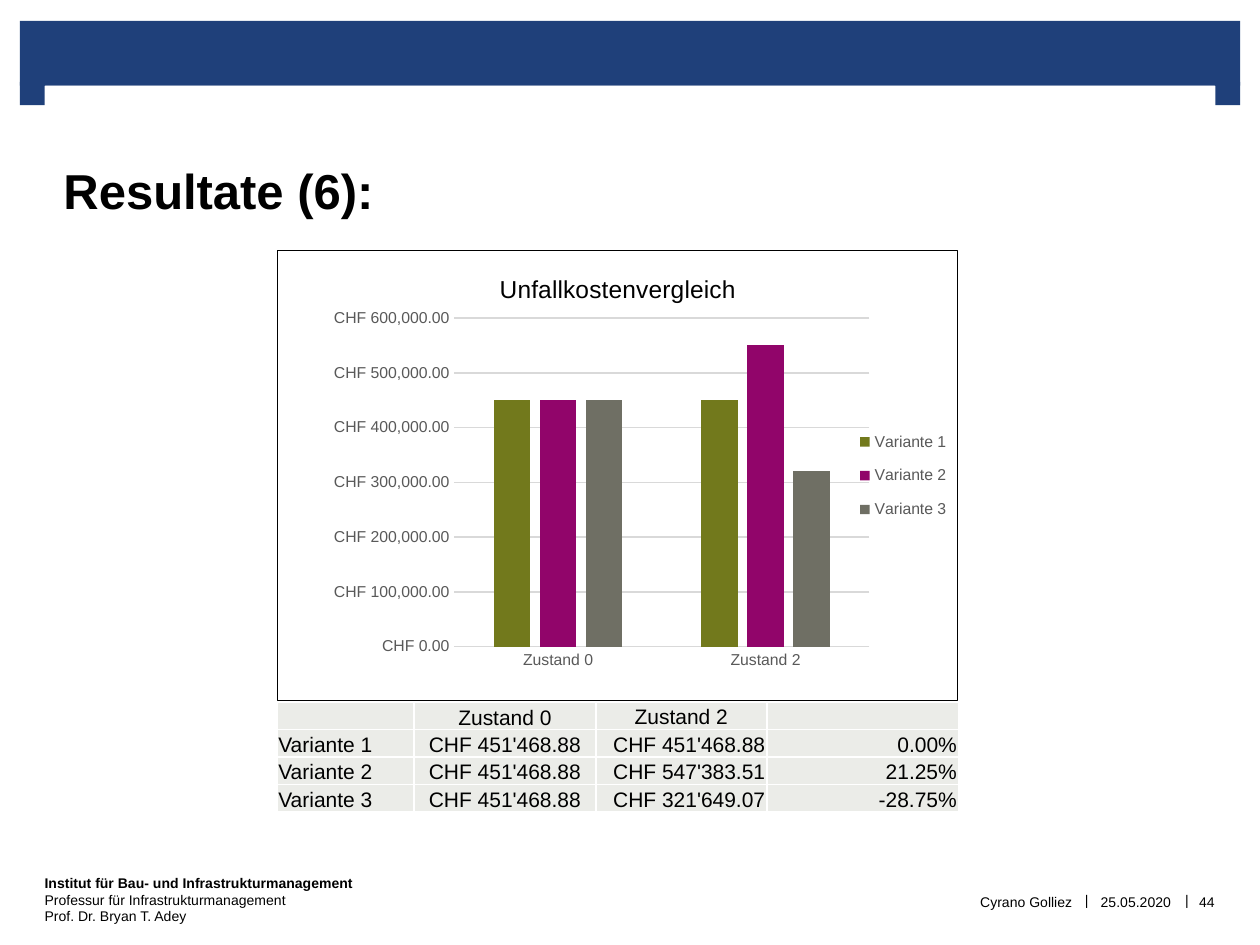
from dataclasses import dataclass

from lxml.etree import SubElement
from pptx import Presentation
from pptx.chart.data import CategoryChartData
from pptx.dml.color import RGBColor
from pptx.enum.chart import XL_CHART_TYPE, XL_LEGEND_POSITION, XL_TICK_MARK
from pptx.enum.shapes import MSO_SHAPE
from pptx.enum.text import MSO_ANCHOR as Anchor, MSO_AUTO_SIZE, PP_ALIGN as Align
from pptx.oxml import parse_xml
from pptx.oxml.ns import nsdecls, qn
from pptx.util import Cm, Pt


@dataclass(frozen=True)
class Theme:
    font: str = "Arial"
    banner: str = "1F407A"
    text: str = "000000"
    paper: str = "FFFFFF"
    axis_text: str = "595959"
    grid: str = "D9D9D9"
    cell: str = "EBECE8"
    variants: tuple = ("72791C", "91056A", "6F6F64")
    title_size: int = 28
    chart_title_size: int = 14
    table_size: int = 12
    chart_size: int = 10
    axis_size: int = 9
    footer_size: int = 8


THEME = Theme()
STATES = ("Zustand 0", "Zustand 2")
COSTS = {
    "Variante 1": (451468.88, 451468.88),
    "Variante 2": (451468.88, 547383.51),
    "Variante 3": (451468.88, 321649.07),
}


def rgb(code):
    return RGBColor.from_string(code)


def box(left, top, width, height):
    return Cm(left), Cm(top), Cm(width), Cm(height)


def style_font(font, size, color=THEME.text, bold=False):
    font.name = THEME.font
    font.size = Pt(size)
    font.bold = bold
    font.color.rgb = rgb(color)


def add_run(paragraph, text, size, bold=False):
    run = paragraph.add_run()
    run.text = text
    style_font(run.font, size, bold=bold)


def set_insets(target, left, top, right, bottom):
    target.margin_left, target.margin_top = Cm(left), Cm(top)
    target.margin_right, target.margin_bottom = Cm(right), Cm(bottom)


def add_banner(slide):
    banner = slide.shapes.add_group_shape()
    bars = ((0.4, 0.42, 24.6, 1.31), (0.4, 1.65, 0.51, 0.47), (24.49, 1.65, 0.51, 0.47))
    for place in bars:
        bar = banner.shapes.add_shape(MSO_SHAPE.RECTANGLE, *box(*place))
        bar.shadow.inherit = False
        bar.fill.solid()
        bar.fill.fore_color.rgb = rgb(THEME.banner)
        bar.line.fill.background()


def add_institute(slide):
    frame = slide.shapes.add_textbox(*box(0.65, 17.5, 6.78, 1.3)).text_frame
    frame.word_wrap = False
    frame.auto_size = MSO_AUTO_SIZE.SHAPE_TO_FIT_TEXT
    lines = ("Institut für Bau- und Infrastrukturmanagement",
             "Professur für Infrastrukturmanagement", "Prof. Dr. Bryan T. Adey")
    for index, line in enumerate(lines):
        paragraph = frame.add_paragraph() if index else frame.paragraphs[0]
        add_run(paragraph, line, THEME.footer_size, bold=index == 0)


def add_footer_text(slide, text, left, width, top=17.53, align=Align.CENTER,
                    insets=(0, 0, 0, 0)):
    frame = slide.shapes.add_textbox(*box(left, top, width, 1.3)).text_frame
    frame.word_wrap = False
    frame.vertical_anchor = Anchor.MIDDLE
    set_insets(frame, *insets)
    frame.paragraphs[0].alignment = align
    add_run(frame.paragraphs[0], text, THEME.footer_size)


def add_footer(slide):
    add_institute(slide)
    for left in (21.76, 23.78):
        add_footer_text(slide, "|", left, 0.3, top=17.5, insets=(0.1, 0.13, 0.1, 0.13))
    add_footer_text(slide, "25.05.2020", 22.05, 1.7)
    add_footer_text(slide, "Cyrano Golliez", 12.7, 8.92, align=Align.RIGHT)
    add_footer_text(slide, "44", 23.96, 0.74)


def set_title(slide, text):
    title = slide.shapes.title
    slide.shapes._spTree.append(title._element)  # in front of the banner
    title.left, title.top, title.width, title.height = box(0.9, 1.73, 23.6, 2.69)
    title.fill.solid()
    title.fill.fore_color.rgb = rgb(THEME.paper)
    frame = title.text_frame
    frame.word_wrap = True
    frame.auto_size = MSO_AUTO_SIZE.NONE
    frame.vertical_anchor = Anchor.BOTTOM
    set_insets(frame, 0.38, 0, 0.41, 0)
    frame.paragraphs[0].alignment = Align.LEFT
    add_run(frame.paragraphs[0], text, THEME.title_size, bold=True)


def set_layout(part, index, inner=False, **fractions):
    """Place a chart part by fractions (x, y, w, h) of the chart area."""
    for old in part.findall(qn("c:layout")):
        part.remove(old)
    target = '<c:layoutTarget val="inner"/>' if inner else ""
    modes = "".join(f'<c:{key}Mode val="edge"/>' for key in "xy")
    values = "".join(f'<c:{key} val="{value}"/>' for key, value in fractions.items())
    part.insert(index, parse_xml(
        f'<c:layout {nsdecls("c")}><c:manualLayout>{target}{modes}{values}'
        "</c:manualLayout></c:layout>"))


def frame_chart(chart):
    chart._chartSpace.find(qn("c:chart")).addnext(parse_xml(
        f'<c:spPr {nsdecls("c", "a")}>'
        f'<a:solidFill><a:srgbClr val="{THEME.paper}"/></a:solidFill>'
        f'<a:ln w="{Pt(0.75)}"><a:solidFill><a:srgbClr val="{THEME.text}"/>'
        "</a:solidFill></a:ln></c:spPr>"))


def style_axes(chart):
    costs, states = chart.value_axis, chart.category_axis
    for axis in (costs, states):
        axis.major_tick_mark = axis.minor_tick_mark = XL_TICK_MARK.NONE
        style_font(axis.tick_labels.font, THEME.axis_size, THEME.axis_text)
    costs.has_major_gridlines = True
    for line in (costs.major_gridlines.format.line, states.format.line):
        line.color.rgb = rgb(THEME.grid)
        line.width = Pt(0.75)
    costs.format.line.fill.background()
    costs.minimum_scale, costs.maximum_scale, costs.major_unit = 0, 600000, 100000
    costs.tick_labels.number_format = '"CHF"\\ #,##0.00'
    costs.tick_labels.number_format_is_linked = False


def add_cost_chart(slide):
    data = CategoryChartData()
    data.categories = STATES
    for variant, costs in COSTS.items():
        data.add_series(variant, [round(cost, -4) for cost in costs])
    chart = slide.shapes.add_chart(
        XL_CHART_TYPE.COLUMN_CLUSTERED, *box(5.58, 5.04, 13.74, 9.1), data).chart
    style_font(chart.font, THEME.chart_size)
    frame_chart(chart)
    style_axes(chart)

    plot = chart.plots[0]
    plot.vary_by_categories = False
    plot.gap_width, plot.overlap = 219, -27
    for series, color in zip(plot.series, THEME.variants):
        series.format.fill.solid()
        series.format.fill.fore_color.rgb = rgb(color)

    heading = chart.chart_title.text_frame.paragraphs[0]
    add_run(heading, "Unfallkostenvergleich", THEME.chart_title_size)
    chart.has_legend = True
    chart.legend.position = XL_LEGEND_POSITION.RIGHT
    chart.legend.include_in_layout = False
    style_font(chart.legend.font, THEME.axis_size, THEME.axis_text)

    area = chart._chartSpace.find(qn("c:chart"))
    set_layout(area.find(qn("c:plotArea")), 0, True, x=0.26, y=0.15, w=0.61, h=0.73)
    set_layout(area.find(qn("c:title")), 1, x=0.32, y=0.04)
    set_layout(area.find(qn("c:legend")), 1, x=0.85, y=0.37, w=0.14, h=0.26)


def fill_cell(cell, text, align, anchor):
    set_insets(cell, 0.03, 0.03, 0.03, 0)
    cell.vertical_anchor = anchor
    cell.fill.solid()
    cell.fill.fore_color.rgb = rgb(THEME.cell)
    for index, side in enumerate("LRTB"):
        cell._tc.get_or_add_tcPr().insert(index, parse_xml(
            f'<a:ln{side} {nsdecls("a")} w="{Pt(1)}"><a:solidFill>'
            f'<a:srgbClr val="{THEME.paper}"/></a:solidFill></a:ln{side}>'))
    paragraph = cell.text_frame.paragraphs[0]
    paragraph.alignment = align
    if text:
        add_run(paragraph, text, THEME.table_size)
    else:
        SubElement(paragraph._p, qn("a:endParaRPr"), sz=str(THEME.table_size * 100))


def add_cost_table(slide):
    rows = [("", *STATES, "")]
    for variant, (before, after) in COSTS.items():
        amounts = [f"CHF {cost:,.2f}".replace(",", "'") for cost in (before, after)]
        rows.append((variant, *amounts, f"{after / before - 1:.2%}"))
    widths = (2.77, 3.66, 3.45, 3.86)
    table = slide.shapes.add_table(
        len(rows), len(widths), *box(5.58, 14.16, sum(widths), 2.2)).table
    table.first_row = table.horz_banding = False
    for column, width in zip(table.columns, widths):
        column.width = Cm(width)
    aligns = (Align.LEFT, Align.CENTER, Align.RIGHT, Align.RIGHT)
    for r, row in enumerate(rows):
        for c, text in enumerate(row):
            align = aligns[c] if r else Align.CENTER
            anchor = Anchor.MIDDLE if (r, c) == (0, 2) else Anchor.BOTTOM
            fill_cell(table.cell(r, c), text, align, anchor)


def main():
    deck = Presentation()
    deck.slide_width, deck.slide_height = Cm(25.4), Cm(19.05)
    slide = deck.slides.add_slide(deck.slide_layouts[5])
    add_banner(slide)
    add_footer(slide)
    set_title(slide, "Resultate (6):")
    add_cost_chart(slide)
    add_cost_table(slide)
    deck.save("out.pptx")


if __name__ == "__main__":
    main()
